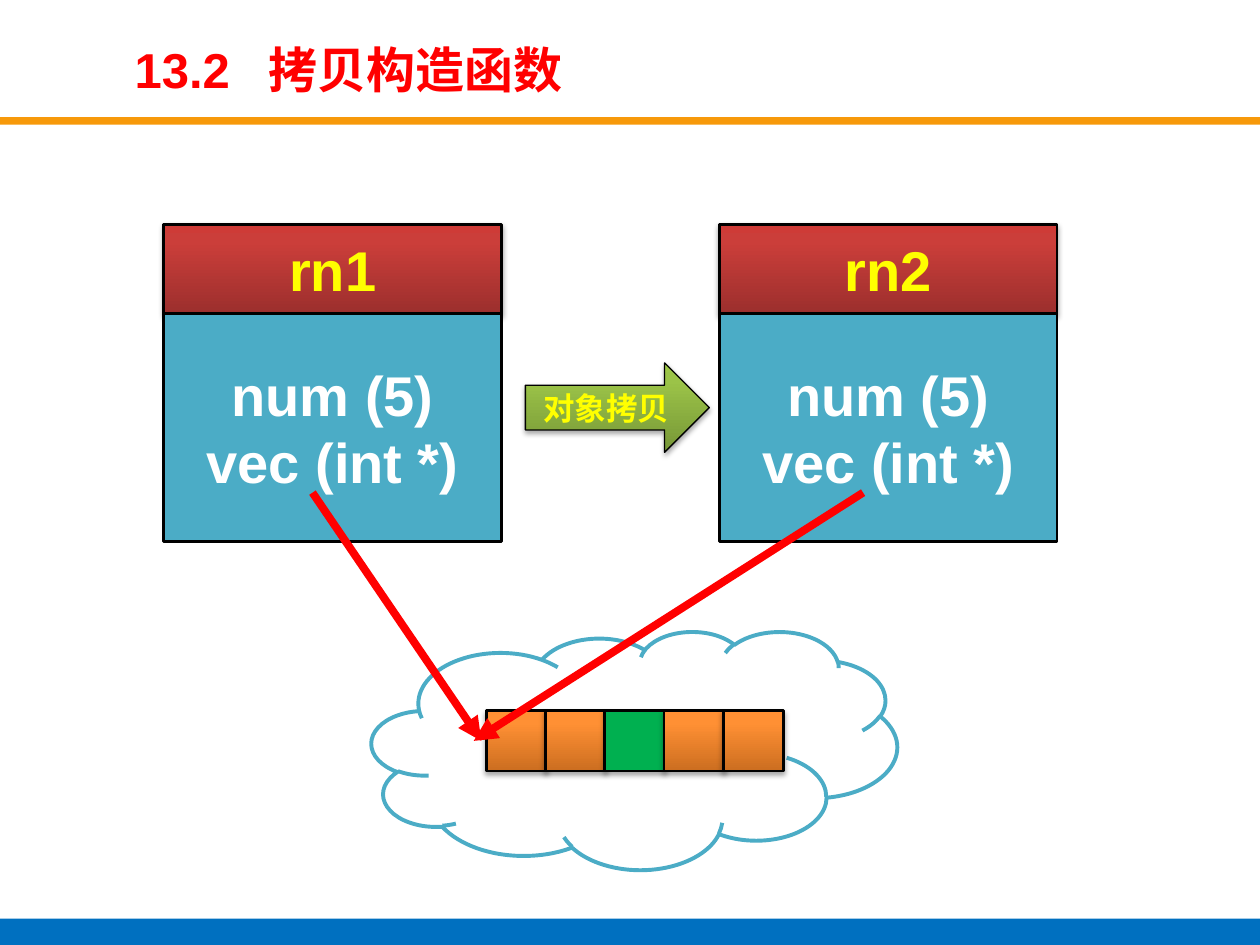
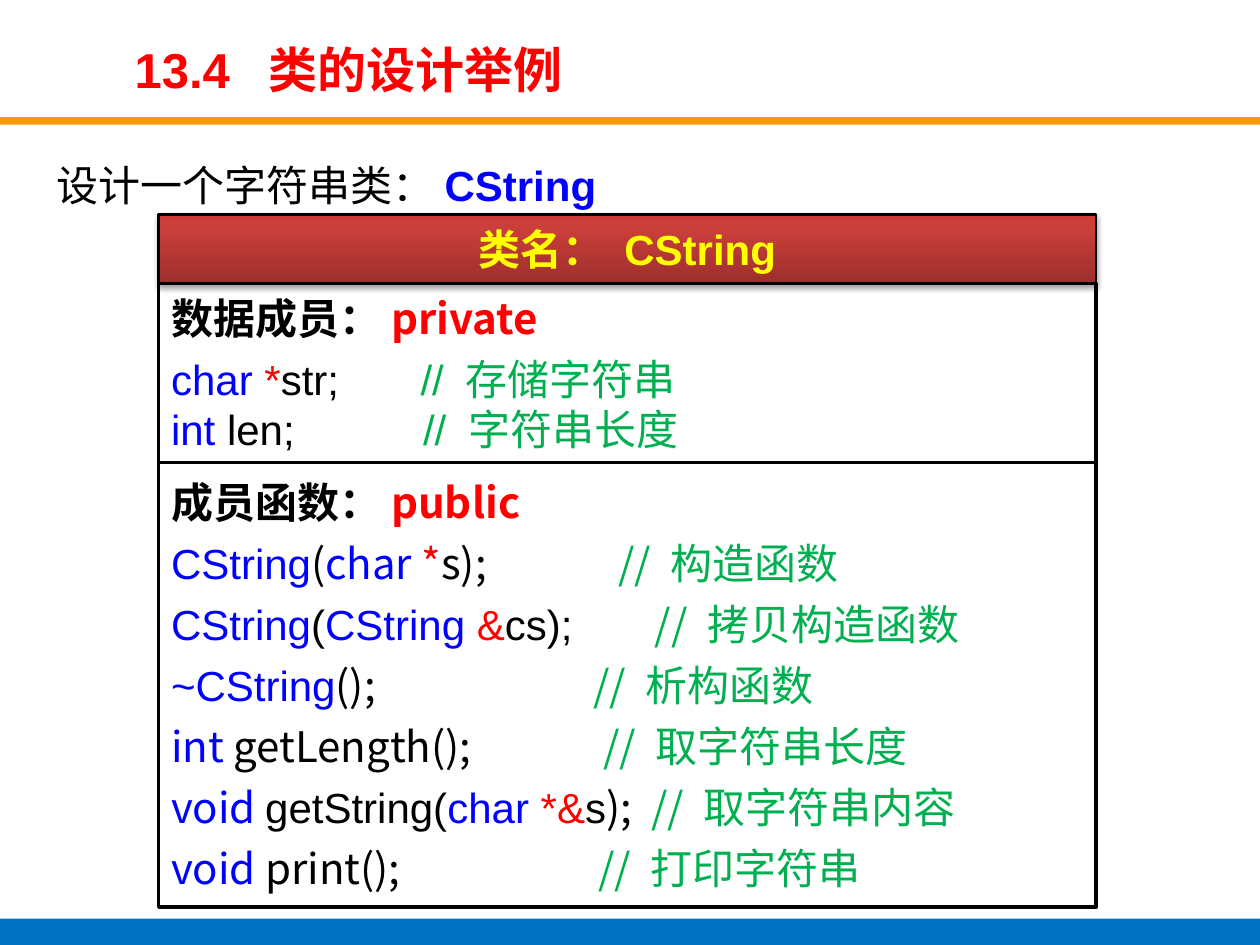
from pptx import Presentation
from pptx.dml.color import RGBColor
from pptx.enum.shapes import MSO_CONNECTOR, MSO_SHAPE
from pptx.enum.text import MSO_ANCHOR, PP_ALIGN
from pptx.oxml.ns import qn
from pptx.util import Inches, Pt
from lxml.etree import SubElement

# Shared style
ARIAL, NOTO = "Arial", "Noto Sans CJK SC"
BLACK, WHITE, RED, BLUE = "000000", "FFFFFF", "FF0000", "0000FF"
GREEN, YELLOW, TEAL = "00B050", "FFFF00", "4BACC6"
CRIMSON = ("9C2F2D", "CB3E3A", "CE3B37")
ORANGE = ("CC6E20", "FF9034", "FF9136")
OLIVE = ("779737", "9BC348", "9DC746")


def tint(code):
    return RGBColor.from_string(code)


def write(frame, rows, size=24, font=ARIAL, color=BLACK, bold=False,
          align=PP_ALIGN.LEFT, anchor=MSO_ANCHOR.MIDDLE,
          before=0, after=(), tabs=(), line=None):
    """Each row is a list of runs: (text, colour, font, bold), later parts optional."""
    frame.word_wrap = True
    frame.vertical_anchor = anchor
    for i, row in enumerate(rows):
        para = frame.paragraphs[0] if i == 0 else frame.add_paragraph()
        para.alignment = align
        para.space_before = Pt(before)
        para.space_after = Pt(after[i] if after else 0)
        if line:
            para.line_spacing = line
        if tabs and tabs[i]:
            stops = SubElement(para._p.get_or_add_pPr(), qn("a:tabLst"))
            SubElement(stops, qn("a:tab"), pos=str(Inches(tabs[i])), algn="l")
        for part in row:
            text, hue, face, heavy = part + (color, font, bold)[len(part) - 1:]
            run = para.add_run()
            run.text = text
            run.font.size = Pt(size)
            run.font.name = face
            run.font.bold = heavy
            run.font.color.rgb = tint(hue)
            SubElement(run._r.get_or_add_rPr(), qn("a:ea"), typeface=NOTO)


class Deck:
    def __init__(self):
        self.show = Presentation()
        self.show.slide_width = Inches(10)
        self.show.slide_height = Inches(7.5)
        self.slide = None

    def page(self, title):
        self.slide = self.show.slides.add_slide(self.show.slide_layouts[6])
        self.shape(0, 0.93, 10, 0.06, fill="F7990A")
        self.shape(0, 7.29, 10, 0.21, fill="0070C0")
        self.text(0.97, 0.27, 6.86, 0.55, [[(title,)]],
                  size=28, color=RED, bold=True)

    def text(self, x, y, w, h, rows, **style):
        box = self.slide.shapes.add_textbox(
            Inches(x), Inches(y), Inches(w), Inches(h))
        write(box.text_frame, rows, **style)

    def shape(self, x, y, w, h, kind=MSO_SHAPE.RECTANGLE, fill=None,
              edge=None, width=1.5, shade=False, rows=(), **style):
        item = self.slide.shapes.add_shape(
            kind, Inches(x), Inches(y), Inches(w), Inches(h))
        item.shadow.inherit = False
        if isinstance(fill, tuple):
            self.blend(item, fill)
        elif fill:
            item.fill.solid()
            item.fill.fore_color.rgb = tint(fill)
        else:
            item.fill.background()
        if edge:
            item.line.color.rgb = tint(edge)
            item.line.width = Pt(width)
        else:
            item.line.fill.background()
        if shade:
            self.shade(item)
        if rows:
            write(item.text_frame, rows, **style)

    def blend(self, item, hues):
        item.fill.gradient()
        grad = item._element.spPr.find(qn("a:gradFill"))
        for child in list(grad):
            grad.remove(child)
        stops = SubElement(grad, qn("a:gsLst"))
        for place, hue in zip((0, 80, 100), hues):
            stop = SubElement(stops, qn("a:gs"), pos=str(place * 1000))
            SubElement(stop, qn("a:srgbClr"), val=hue)
        SubElement(grad, qn("a:lin"), ang=str(270 * 60000), scaled="0")

    def shade(self, item):
        effects = item._element.spPr.find(qn("a:effectLst"))
        drop = SubElement(effects, qn("a:outerShdw"), blurRad=str(Pt(3.1)),
                          dist=str(Pt(1.8)), dir=str(90 * 60000), rotWithShape="0")
        hue = SubElement(drop, qn("a:srgbClr"), val=BLACK)
        SubElement(hue, qn("a:alpha"), val="35000")

    def arrow(self, x1, y1, x2, y2):
        link = self.slide.shapes.add_connector(
            MSO_CONNECTOR.STRAIGHT, Inches(x1), Inches(y1), Inches(x2), Inches(y2))
        link.line.color.rgb = tint(RED)
        link.line.width = Pt(4.5)
        SubElement(link.line._get_or_add_ln(), qn("a:tailEnd"), type="triangle")
        SubElement(link._element.spPr, qn("a:effectLst"))

    def banner(self, x, y, w, h, label, size):
        self.shape(x, y, w, h, fill=CRIMSON, edge=BLACK, shade=True,
                   rows=[[(label,)]], size=size, color=YELLOW, bold=True,
                   align=PP_ALIGN.CENTER)


def copy_page(deck):
    deck.page("13.2  拷贝构造函数")

    # The two objects
    for x, name in ((1.3, "rn1"), (5.71, "rn2")):
        deck.banner(x, 1.78, 2.68, 0.71, name, 32)
        deck.shape(x, 2.49, 2.68, 1.81, fill=TEAL, edge=BLACK,
                   rows=[[("num (5)",)], [("vec (int *)",)]], size=32,
                   color=WHITE, bold=True, align=PP_ALIGN.CENTER)

    # Shared memory
    deck.shape(2.95, 5.01, 4.17, 1.89, kind=MSO_SHAPE.CLOUD, fill=WHITE,
               edge=TEAL, width=2.25)
    for i in range(5):
        deck.shape(3.86 + i * 0.47, 5.64, 0.48, 0.48,
                   fill=GREEN if i == 2 else ORANGE, edge=BLACK, shade=True)

    # Pointers and the copy step
    deck.arrow(2.48, 3.91, 3.82, 5.88)
    deck.arrow(6.85, 3.91, 3.76, 5.88)
    deck.shape(4.17, 2.88, 1.46, 0.71, kind=MSO_SHAPE.RIGHT_ARROW, fill=OLIVE,
               edge=BLACK, width=0.75, shade=True, rows=[[("对象拷贝",)]],
               size=18, font=NOTO, color=YELLOW, bold=True,
               align=PP_ALIGN.CENTER)


def class_page(deck):
    deck.page("13.4  类的设计举例")
    deck.text(0.35, 1.14, 9.29, 5.99,
              [[("设计一个字符串类：",), ("CString", BLUE, ARIAL, True)]],
              align=PP_ALIGN.JUSTIFY, anchor=MSO_ANCHOR.TOP, before=5, line=1.2)
    deck.banner(1.26, 1.7, 7.44, 0.55, "类名： CString", 24)

    def head(label, access):
        return [(label, BLACK, NOTO, True), (access, RED, NOTO, True)]

    def note(text, font=NOTO):
        return ("\t// " + text, GREEN, font)

    # Data members
    data = [
        head("数据成员：", "private"),
        [("char ", BLUE), ("*", RED), ("str;",), note("存储字符串", ARIAL)],
        [("int ", BLUE), ("len;",), note("字符串长度", ARIAL)],
    ]
    deck.shape(1.26, 2.25, 7.44, 1.42, edge=BLACK, width=2, rows=data,
               after=(6, 0, 0), tabs=(0, 1.98, 2))

    # Member functions
    calls = [
        head("成员函数：", "public"),
        [("CString", BLUE), ("(", BLACK, NOTO), ("char ", BLUE, NOTO),
         ("*", RED, NOTO), ("s);", BLACK, NOTO), note("构造函数")],
        [("CString", BLUE), ("(",), ("CString ", BLUE), ("&", RED),
         ("cs);",), note("拷贝构造函数")],
        [("~CString", BLUE), ("();", BLACK, NOTO), note("析构函数")],
        [("int ", BLUE, NOTO), ("getLength();", BLACK, NOTO), note("取字符串长度")],
        [("void ", BLUE, NOTO), ("getString(",), ("char", BLUE), (" *&", RED),
         ("s",), (");", BLACK, NOTO), note("取字符串内容")],
        [("void ", BLUE, NOTO), ("print();", BLACK, NOTO), note("打印字符串")],
    ]
    deck.shape(1.26, 3.67, 7.44, 3.53, edge=BLACK, width=2, rows=calls,
               after=(6,) * 7, tabs=(0, 3.55, 3.84, 3.35, 3.43, 3.81, 3.39))


def main():
    deck = Deck()
    copy_page(deck)
    class_page(deck)
    deck.show.save("out.pptx")


if __name__ == "__main__":
    main()
